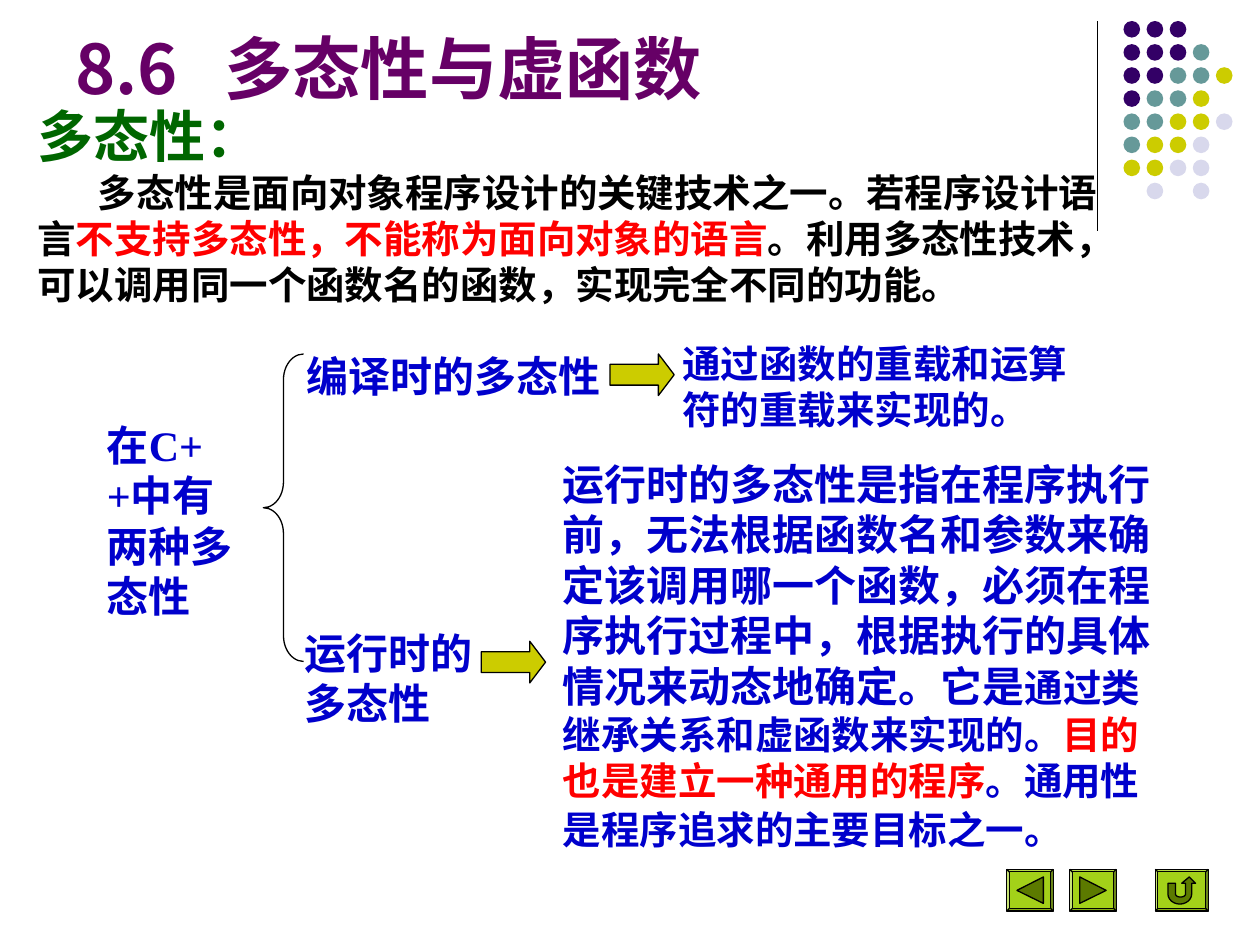
from dataclasses import dataclass
from math import cos, radians, sin

from lxml.etree import SubElement
from pptx import Presentation
from pptx.dml.color import RGBColor
from pptx.enum.lang import MSO_LANGUAGE_ID as Lang
from pptx.enum.shapes import MSO_CONNECTOR, MSO_SHAPE
from pptx.enum.text import MSO_ANCHOR, PP_ALIGN
from pptx.oxml.ns import qn
from pptx.util import Pt

COLORS = {
    "black": "000000", "red": "FF0000", "blue": "0000CC", "green": "006600",
    "title": "660066", "indigo": "330066", "teal": "669999",
    "olive": "CCCC00", "lilac": "D8D8EC", "button": "99CC00", "glyph": "5C7A00",
}
CJK = "Noto Sans CJK SC"
SERIF = "Times New Roman"


@dataclass
class Run:
    text: str
    size: float = 24
    color: str = "blue"
    font: str = CJK


@dataclass
class Block:
    left: float
    top: float
    width: float
    height: float
    paragraphs: list[list[Run]]
    indent: float = 0  # first line of the last paragraph
    wrap: bool = True


@dataclass
class Button:
    left: float
    width: float
    glyph: list[tuple[float, float]]


def rgb(name: str) -> RGBColor:
    return RGBColor.from_string(COLORS[name])


def add_run(p, text: str, *, size: float, color: str, font: str) -> None:
    r = p.add_run()
    r.text = text
    r.font.size = Pt(size)
    r.font.bold = True
    r.font.name = font
    r.font.color.rgb = rgb(color)
    r.font.language_id = Lang.SIMPLIFIED_CHINESE
    SubElement(r.font._element, qn("a:ea"), typeface=CJK)


def add_block(s, b: Block) -> None:
    tf = s.shapes.add_textbox(Pt(b.left), Pt(b.top), Pt(b.width), Pt(b.height)).text_frame
    tf.word_wrap = b.wrap
    for i, runs in enumerate(b.paragraphs):
        p = tf.add_paragraph() if i else tf.paragraphs[0]
        for run in runs:
            add_run(p, run.text, size=run.size, color=run.color, font=run.font)
    if b.indent:
        pPr = p._p.get_or_add_pPr()
        pPr.set("marL", "0")
        pPr.set("indent", str(Pt(b.indent)))


def paint(sp, fill: str | None, line: str | None = "black") -> None:
    sp.shadow.inherit = False
    if fill:
        sp.fill.solid()
        sp.fill.fore_color.rgb = rgb(fill)
    else:
        sp.fill.background()
    if line:
        sp.line.color.rgb = rgb(line)
        sp.line.width = Pt(0.75)
    else:
        sp.line.fill.background()


def add_preset(s, kind, left: float, top: float, width: float, height: float,
               fill: str | None, line: str | None = "black", adj: tuple = ()):
    sp = s.shapes.add_shape(kind, Pt(left), Pt(top), Pt(width), Pt(height))
    for i, value in enumerate(adj):
        sp.adjustments[i] = value
    paint(sp, fill, line)
    return sp


def add_button(s, b: Button) -> None:
    top = 496.8
    sp = add_preset(s, MSO_SHAPE.BEVEL, b.left, top, b.width, 23.8, "button", adj=(0.06,))
    clr = sp.fill._xPr.find(qn("a:solidFill"))[0]
    SubElement(clr, qn("a:alpha"), val="90000")
    pts = [(Pt(b.left + x), Pt(top + y)) for x, y in b.glyph]
    ff = s.shapes.build_freeform(*pts[0], scale=1.0)
    ff.add_line_segments(pts[1:], close=True)
    paint(ff.convert_to_shape(), "glyph")


def arc(cx: float, cy: float, rx: float, ry: float, start: int, end: int):
    step = 15 if end > start else -15
    return [(cx + rx * cos(radians(a)), cy + ry * sin(radians(a)))
            for a in range(start, end + step, step)]


prs = Presentation()
prs.slide_width, prs.slide_height = Pt(720), Pt(540)
s = prs.slides.add_slide(prs.slide_layouts[5])

# Title
title = s.shapes.title
title.left, title.top, title.width, title.height = Pt(36), Pt(9.4), Pt(432), Pt(56.2)
tf = title.text_frame
tf.vertical_anchor = MSO_ANCHOR.BOTTOM
p = tf.paragraphs[0]
p.alignment = PP_ALIGN.LEFT
tabs = SubElement(p._p.get_or_add_pPr(), qn("a:tabLst"))
SubElement(tabs, qn("a:tab"), pos=str(Pt(85)), algn="l")
add_run(p, "8.6\t多态性与虚函数", size=39, color="title", font=CJK)

# Corner rule and dot pattern
rule = s.shapes.add_connector(MSO_CONNECTOR.STRAIGHT, Pt(627.1), Pt(12.2), Pt(627.1), Pt(131.8))
rule.line.color.rgb = rgb("black")
rule.line.width = Pt(0.75)
SubElement(rule._element.spPr, qn("a:effectLst"))

DOT_COLORS = {"i": "indigo", "t": "teal", "o": "olive", "l": "lilac"}
DOT_ROWS = ["iii", "iiit", "iitto", "itto", "ttool", "tool", "ooll", " l l"]
PITCH = 13.2
for row, marks in enumerate(DOT_ROWS):
    for col, mark in enumerate(marks):
        if mark in DOT_COLORS:
            add_preset(s, MSO_SHAPE.OVAL, 642 + col * PITCH, 12 + row * PITCH,
                       9.5, 9.5, DOT_COLORS[mark], None)

# Definition, the two kinds and their explanations
BLOCKS = [
    Block(14.4, 54.7, 629.3, 125.3, [
        [Run("多态性：", 32, "green", "Arial")],
        [Run("多态性是面向对象程序设计的关键技术之一。若程序设计语言", 22, "black", "Arial"),
         Run("不支持多态性，不能称为面向对象的语言", 22, "red", "Arial"),
         Run("。利用多态性技术，可以调用同一个函数名的函数，实现完全不同的功能。",
             22, "black", "Arial")],
    ], indent=34.5),
    Block(54, 236.2, 97.9, 122.4,
          [[Run("在"), Run("C++", font=SERIF), Run("中有两种多态性")]]),
    Block(167.8, 196.6, 187.9, 36, [[Run("编译时的多态性")]], wrap=False),
    Block(167, 355, 130.3, 64.8, [[Run("运行时的多态性")]]),
    Block(383, 190.8, 254.2, 60.5,
          [[Run("通过函数的重载和运算符的重载来实现的。", 22, font="Arial")]]),
    Block(314.6, 258.5, 359.3, 233.3, [[
        Run("运行时的多态性是指在程序执行前，无法根据函数名和参数来确定该调用哪一个函数，"
            "必须在程序执行过程中，根据执行的具体情况来动态地确定。它是"),
        Run("通过类继承关系和虚函数来实现的。", 22, font="Arial"),
        Run("目的也是建立一种通用的程序", 22, "red", "Arial"),
        Run("。通用性是程序追求的主要目标之一。", 22, font="Arial"),
        Run(" ", font=SERIF),
    ]]),
]
for block in BLOCKS:
    add_block(s, block)

# Brace and arrows
add_preset(s, MSO_SHAPE.LEFT_BRACE, 150.5, 202.3, 23, 175.7, None, adj=(0.64, 0.5))
for left, top in [(355, 195.8), (281.5, 360)]:
    arrow = add_preset(s, MSO_SHAPE.UP_ARROW, left, top, 23.8, 36.7, "olive", adj=(0.5, 0.38))
    arrow.rotation = 90

# Navigation buttons
BACK = [(5.8, 12), (20.9, 4.3), (20.9, 19.4)]
FORWARD = [(26.6 - x, y) for x, y in BACK]
RETURN = [(7.2, 7.9), (11.5, 7.9), *arc(14.4, 14, 2.9, 1.8, 180, 0), (17.3, 7.9),
          (15.1, 7.9), (19.4, 4.3), (23, 7.9), (20.8, 7.9), *arc(14, 14, 6.8, 5.8, 0, 180)]
for button in [Button(575.3, 26.6, BACK), Button(611.3, 26.6, FORWARD),
               Button(660.2, 30.2, RETURN)]:
    add_button(s, button)

prs.save("out.pptx")
